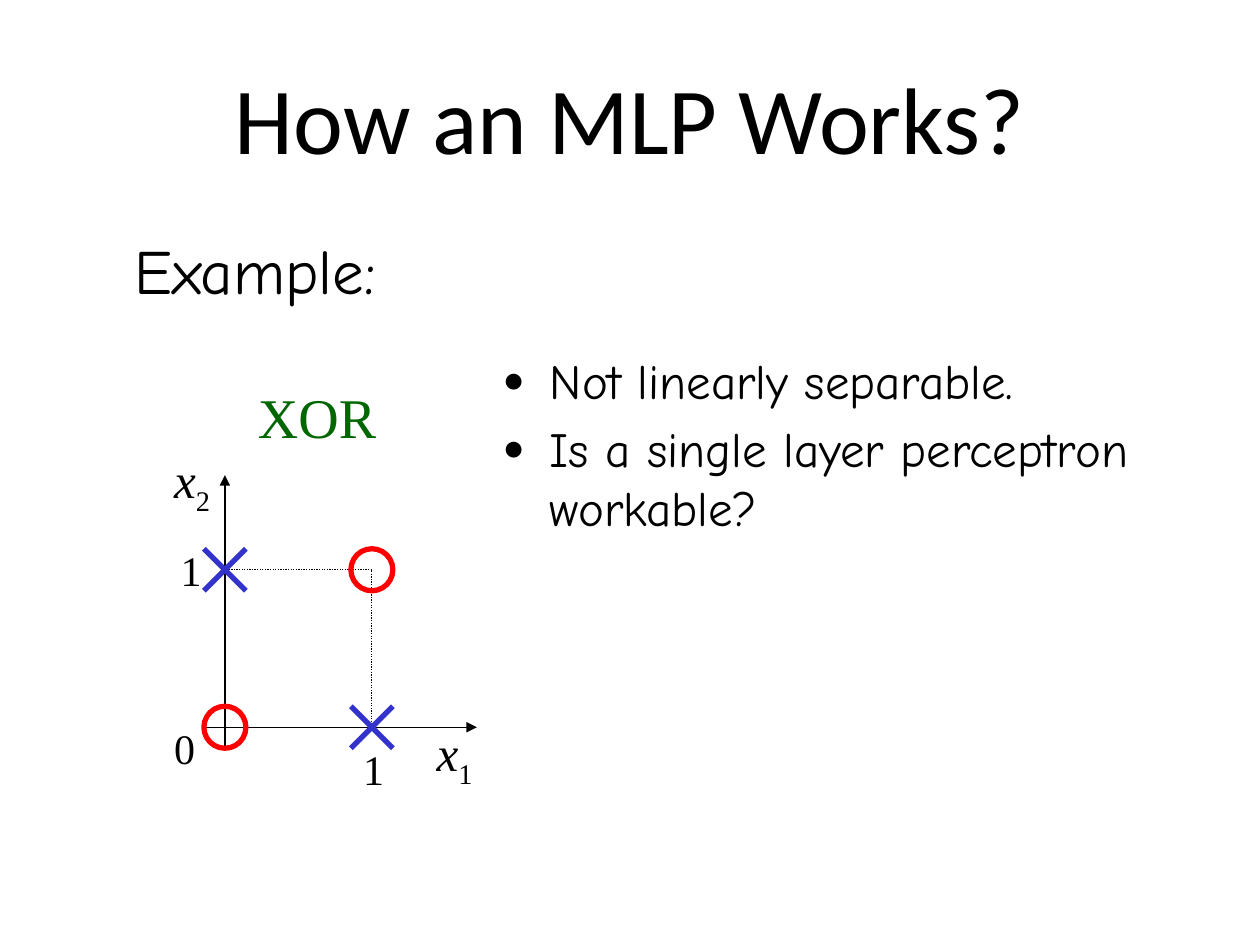
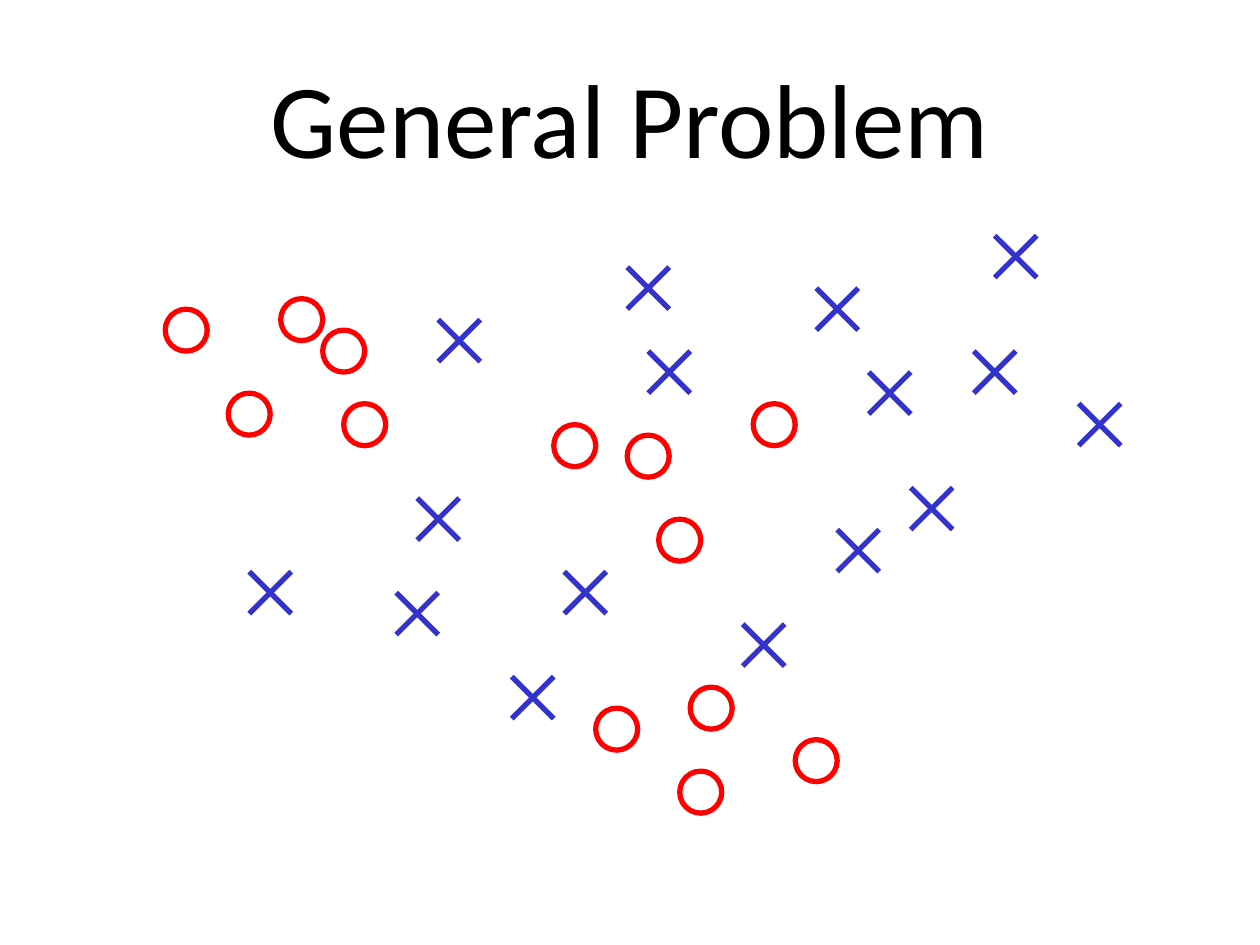
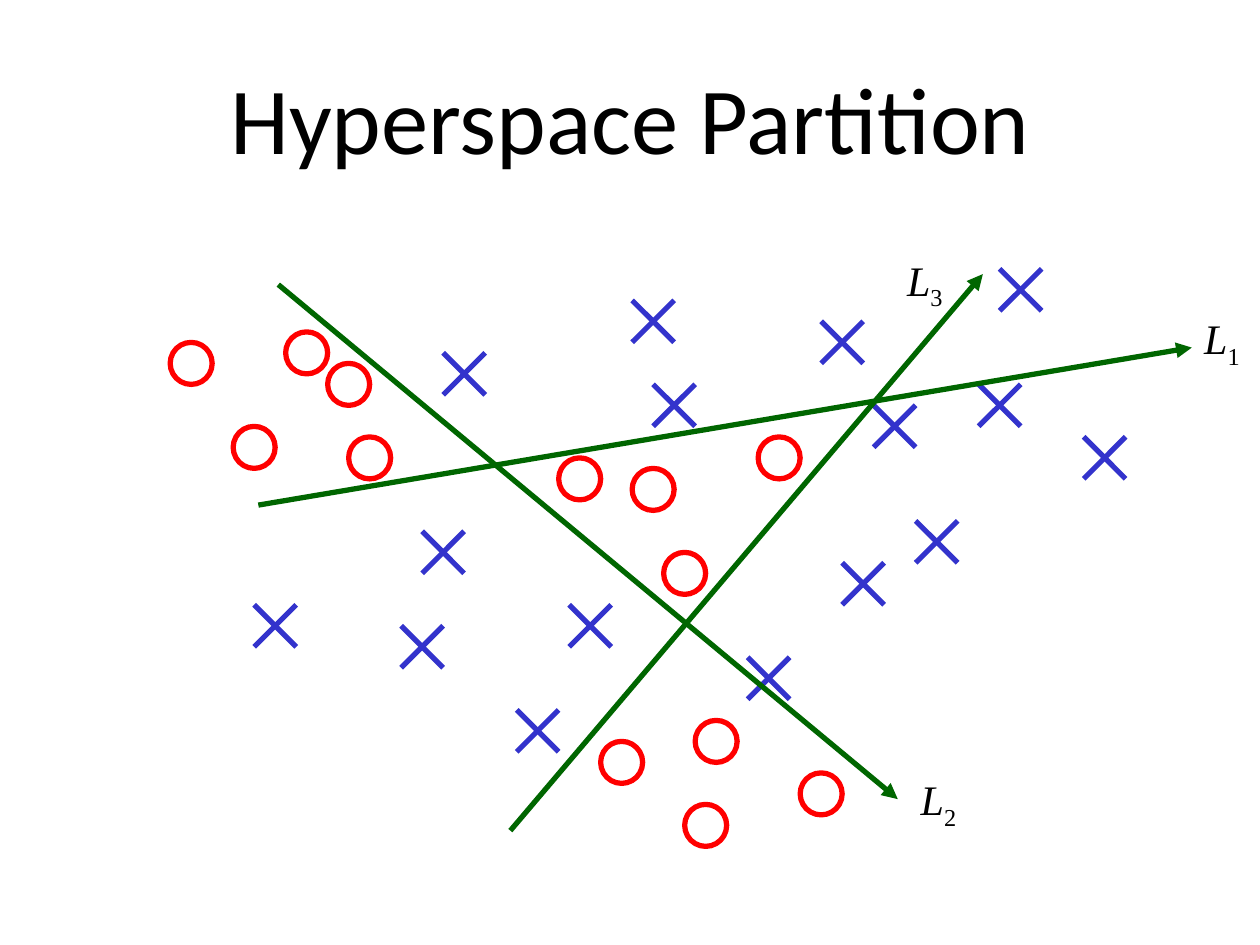
from lxml import etree
from pptx import Presentation
from pptx.dml.color import RGBColor
from pptx.enum.dml import MSO_LINE
from pptx.enum.shapes import MSO_CONNECTOR, MSO_SHAPE
from pptx.enum.text import MSO_ANCHOR, MSO_AUTO_SIZE, PP_ALIGN
from pptx.oxml.ns import qn
from pptx.util import Cm, Pt

STRAIGHT = MSO_CONNECTOR.STRAIGHT
OVAL = MSO_SHAPE.OVAL
RECT = MSO_SHAPE.RECTANGLE
DOTS = MSO_LINE.ROUND_DOT
MIDDLE = MSO_ANCHOR.MIDDLE
TOP = MSO_ANCHOR.TOP
FIT = MSO_AUTO_SIZE.SHAPE_TO_FIT_TEXT
FIXED = MSO_AUTO_SIZE.NONE
CENTER = PP_ALIGN.CENTER

BLACK, RED, BLUE, GREEN = "000000", "FF0000", "3333CC", "006600"
SANS, COMIC, SERIF = "Calibri", "Comic Neue", "Times New Roman"
STEP = 2.54 / 12
MARK = 4

RINGS = [(44, 19), (56, 16), (37, 18), (47, 27), (41, 45), (11, 6), (15, 9),
         (0, 7), (49, 51), (6, 15), (17, 16), (50, 43), (60, 48)]
CROSSES = [(26, 8), (22, 34), (24, 25), (44, 3), (62, 5), (87, 16), (71, 24),
           (55, 37), (64, 28), (79, 0), (38, 32), (46, 11), (33, 42),
           (77, 11), (67, 13), (8, 32)]
CUTS = [("1", (8.4, 22.5), (97.3, 7.5), (97.3, 3.6)),
        ("2", (10.3, 1.5), (69.3, 50.5), (70.3, 47.5)),
        ("3", (32.4, 53.5), (77.4, 0.5), (69, -2))]


def color(code):
    return RGBColor.from_string(code)


def spot(box, pos):
    return [Cm(start + STEP * step) for start, step in zip(box, pos)]


def add_run(para, text, size, font, code=BLACK, italic=False, sub=False):
    run = para.add_run()
    run.text = text
    run.font.size = Pt(size)
    run.font.name = font
    run.font.italic = italic
    run.font.color.rgb = color(code)
    if sub:
        run._r.get_or_add_rPr().set("baseline", "-25000")


def add_label(slide, left, top, width, height):
    frame = slide.shapes.add_textbox(left, top, width, height).text_frame
    frame.word_wrap = False
    frame.auto_size = FIT
    return frame.paragraphs[0]


def add_number(slide, box, pos, text):
    para = add_label(slide, *spot(box, pos), Cm(0.94), Cm(1.27))
    add_run(para, text, 24, SERIF)


def add_symbol(slide, box, pos, name, index, size):
    para = add_label(slide, *spot(box, pos), Cm(1.28), Cm(size * 0.052))
    add_run(para, name, size, SERIF, italic=True)
    add_run(para, index, size, SERIF, sub=True)


def add_line(slide, box, start, end, code, width, arrow=False):
    line = slide.shapes.add_connector(
        STRAIGHT, *spot(box, start), *spot(box, end))
    line.line.color.rgb = color(code)
    line.line.width = Pt(width)
    props = line._element.spPr
    if arrow:
        etree.SubElement(props.find(qn("a:ln")), qn("a:tailEnd"), type="triangle")
    etree.SubElement(props, qn("a:effectLst"))


def add_outline(slide, kind, box, pos, size, code, width):
    shape = slide.shapes.add_shape(kind, *spot(box, pos), *spot((0, 0), size))
    shape.shadow.inherit = False
    shape.fill.background()
    shape.line.color.rgb = color(code)
    shape.line.width = Pt(width)
    return shape


def add_marks(slide, box, rings, crosses):
    for pos in rings:
        add_outline(slide, OVAL, box, pos, (MARK, MARK), RED, 3)
    for x, y in crosses:
        add_line(slide, box, (x + MARK, y), (x, y + MARK), BLUE, 3)
        add_line(slide, box, (x, y), (x + MARK, y + MARK), BLUE, 3)


def add_slide(deck, layout, text, size):
    slide = deck.slides.add_slide(deck.slide_layouts[layout])
    title = slide.shapes.title
    title.left, title.top = Cm(1.27), Cm(0.76)
    title.width, title.height = Cm(22.86), Cm(3.18)
    frame = title.text_frame
    frame.auto_size = FIXED
    frame.vertical_anchor = MIDDLE
    para = frame.paragraphs[0]
    para.alignment = CENTER
    add_run(para, text, size, SANS)
    return slide


def add_list(slide, box, items):
    body = slide.placeholders[1]
    body.left, body.top, body.width, body.height = [Cm(side) for side in box]
    frame = body.text_frame
    frame.auto_size = FIXED
    frame.vertical_anchor = TOP
    for i, item in enumerate(items):
        para = frame.add_paragraph() if i else frame.paragraphs[0]
        props = para._p.get_or_add_pPr()
        props.set("marL", str(Cm(0.95)))
        props.set("indent", str(-Cm(0.95)))
        tint = etree.SubElement(props, qn("a:buClr"))
        etree.SubElement(tint, qn("a:srgbClr"), val=BLACK)
        etree.SubElement(props, qn("a:buSzPct"), val="75000")
        etree.SubElement(props, qn("a:buChar"), char="●")
        para.space_before = Pt(5.6 if i else 0)
        add_run(para, item, 28, COMIC)


def add_plot(slide, box):
    add_line(slide, box, (0, 24), (26, 24), BLACK, 0.75, True)
    add_line(slide, box, (2, 26), (2, 0), BLACK, 0.75, True)
    square = add_outline(slide, RECT, box, (2, 9), (14, 15), BLACK, 0.75)
    square.line.dash_style = DOTS
    for text, pos in [("0", (-4, 23)), ("1", (14, 25)), ("1", (-3.4, 6))]:
        add_number(slide, box, pos, text)
    add_marks(slide, box, [(14, 7), (0, 22)], [(0, 7), (14, 22)])
    add_symbol(slide, box, (21, 23), "x", "1", 28)
    add_symbol(slide, box, (-4, -3), "x", "2", 28)


def add_cuts(slide, box):
    for index, start, end, pos in CUTS:
        add_line(slide, box, start, end, GREEN, 3, True)
        add_symbol(slide, box, pos, "L", index, 24)


def build_example(deck):
    slide = add_slide(deck, 1, "How an MLP Works?", 54)
    para = add_label(slide, Cm(4.95), Cm(7.59), Cm(2.9), Cm(1.6))
    add_run(para, "XOR", 32, SERIF, GREEN)
    add_plot(slide, (4.11, 9.58))
    para = add_label(slide, Cm(2.46), Cm(4.55), Cm(5.79), Cm(1.78))
    add_run(para, "Example:", 36, COMIC)
    add_list(slide, (9.88, 6.93, 13.59, 4.04),
             ["Not linearly separable.",
              "Is a single layer perceptron workable?"])


def build_problem(deck):
    slide = add_slide(deck, 5, "General Problem", 60)
    add_marks(slide, (3.33, 4.75), RINGS, CROSSES)


def build_split(deck):
    slide = add_slide(deck, 5, "Hyperspace Partition", 54)
    box = (3.43, 5.42)
    add_marks(slide, box, RINGS, CROSSES)
    add_cuts(slide, box)


def main():
    deck = Presentation()
    deck.slide_width, deck.slide_height = Cm(25.4), Cm(19.05)
    build_example(deck)
    build_problem(deck)
    build_split(deck)
    deck.save("out.pptx")


if __name__ == "__main__":
    main()
